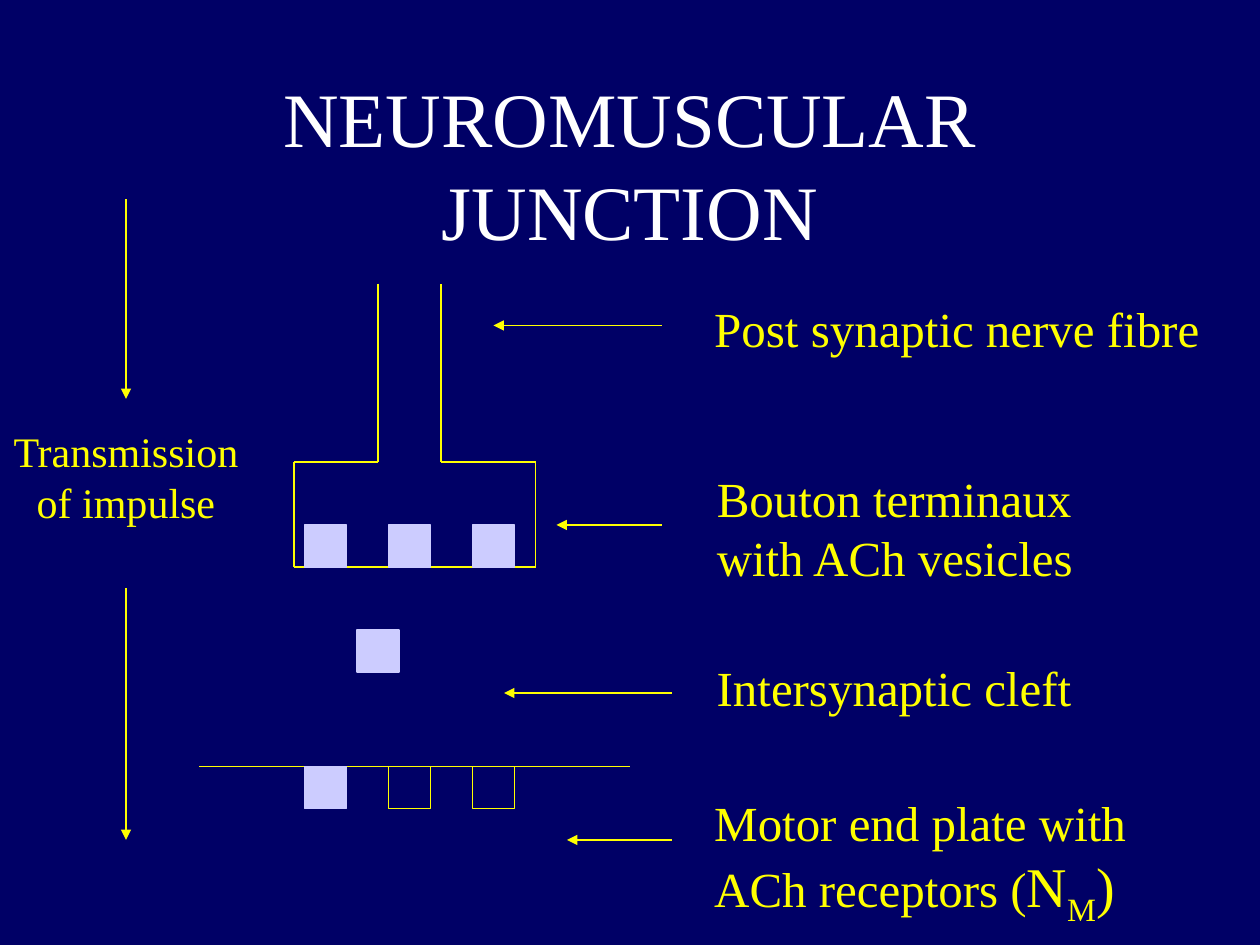
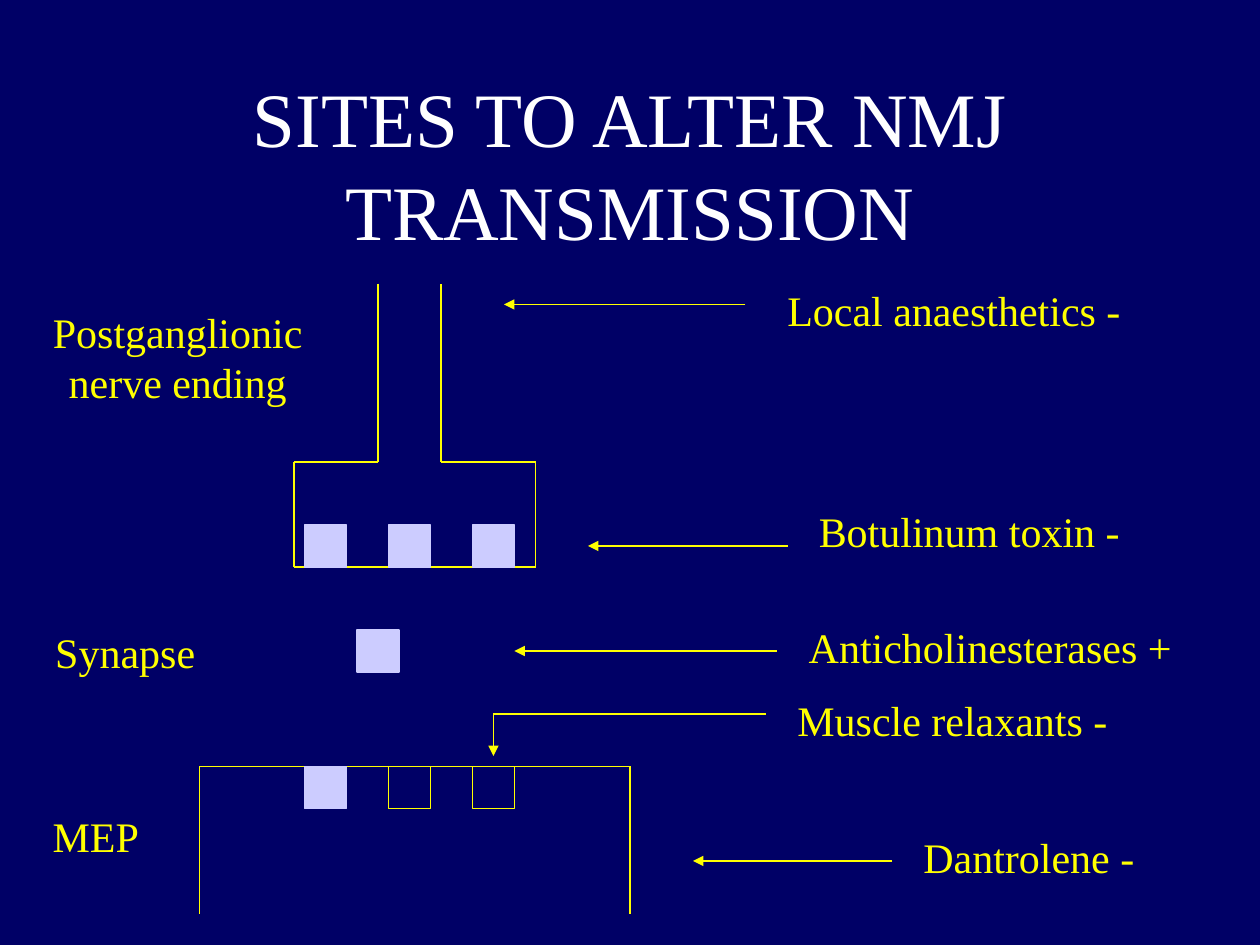
import pptx
import pptx.util
import pptx.dml.color
import pptx.enum.shapes
import pptx.enum.text
import pptx.oxml

Inches, Pt = pptx.util.Inches, pptx.util.Pt
RGB = pptx.dml.color.RGBColor.from_string
new_element = pptx.oxml.xmlchemy.OxmlElement
LEFT, CENTER = pptx.enum.text.PP_ALIGN.LEFT, pptx.enum.text.PP_ALIGN.CENTER
TOP, MIDDLE = pptx.enum.text.MSO_ANCHOR.TOP, pptx.enum.text.MSO_ANCHOR.MIDDLE

COLORS = {"navy": "000066", "yellow": "FFFF00", "lilac": "CCCCFF", "white": "FFFFFF"}
FONT = "Times New Roman"
LINE_WIDTH = 0.75
GRID = 12  # the drawing sits on a grid of twelfths of an inch
SQUARE = 4 / GRID

# Text styles: frame settings, alignment and font
LABEL = {"frame": {"word_wrap": True, "vertical_anchor": TOP},
         "align": LEFT, "size": 24, "color": "yellow"}
CENTERED = {**LABEL, "align": CENTER}
LARGE = {**LABEL, "size": 28}
TITLE = {"frame": {"word_wrap": True, "vertical_anchor": MIDDLE},
         "align": CENTER, "size": 44, "color": "white"}


def add_line(s, ends, arrow=False):
    x1, y1, x2, y2 = [Inches(round(v * GRID) / GRID) for v in ends]
    line = s.shapes.add_connector(pptx.enum.shapes.MSO_CONNECTOR.STRAIGHT, x1, y1, x2, y2)
    line.line.color.rgb = RGB(COLORS["yellow"])
    line.line.width = Pt(LINE_WIDTH)
    if arrow:
        tail = new_element("a:tailEnd")
        tail.set("type", "triangle")
        line.line._get_or_add_ln().append(tail)
    line._element.spPr.append(new_element("a:effectLst"))


def add_text(s, box, paragraphs, style):
    """A paragraph is a string or a list of (text, size, baseline) runs."""
    tf = s.shapes.add_textbox(*map(Inches, box)).text_frame
    for name, value in style["frame"].items():
        setattr(tf, name, value)
    for i, runs in enumerate(paragraphs):
        p = tf.add_paragraph() if i else tf.paragraphs[0]
        p.alignment = style["align"]
        if isinstance(runs, str):
            runs = [(runs, style["size"], 0)]
        for text, size, baseline in runs:
            r = p.add_run()
            r.text = text
            for name, value in {"name": FONT, "size": Pt(size)}.items():
                setattr(r.font, name, value)
            r.font.color.rgb = RGB(COLORS[style["color"]])
            if baseline:
                r._r.get_or_add_rPr().set("baseline", str(baseline * 1000))


# What differs between the slides: title, extra lines, arrows and labels
slides = [
    {
        "title": "NEUROMUSCULAR JUNCTION",
        "lines": [],
        "arrows": [(5.25, 2.58, 3.92, 2.58), (5.25, 4.17, 4.42, 4.17),
                   (5.33, 5.5, 4, 5.5), (5.33, 6.67, 4.5, 6.67),
                   (1, 1.58, 1, 3.17), (1, 4.67, 1, 6.67)],
        "labels": [
            ((5.57, 2.32, 4.15, 0.57), ["Post synaptic nerve fibre"], LARGE),
            ((5.59, 3.67, 3.15, 1.04), ["Bouton terminaux", "with ACh vesicles"], LARGE),
            ((5.59, 5.17, 3.1, 0.57), ["Intersynaptic cleft"], LARGE),
            ((5.57, 6.24, 3.65, 1.18),
             ["Motor end plate with",
              [("ACh receptors (", 28, 0), ("N", 32, 0), ("M", 32, -25), (")", 32, 0)]], LARGE),
            ((-0.05, 3.33, 2.1, 0.9), ["Transmission", "of impulse"], CENTERED),
        ],
    },
    {
        "title": "SITES TO ALTER NMJ TRANSMISSION",
        "lines": [(1.58, 6.08, 1.58, 7.25), (5, 6.08, 5, 7.25), (3.92, 5.67, 6.08, 5.67)],
        "arrows": [(5.92, 2.42, 4, 2.42), (7.08, 6.83, 5.5, 6.83), (6.25, 4.33, 4.67, 4.33),
                   (6.17, 5.17, 4.08, 5.17), (3.92, 5.67, 3.92, 6)],
        "labels": [
            ((0.27, 2.38, 2.28, 0.9), ["Postganglionic", "nerve ending"], CENTERED),
            ((0.34, 4.92, 1.4, 0.5), ["Synapse"], LABEL),
            ((0.32, 6.38, 1, 0.5), ["MEP"], LABEL),
            ((6.15, 2.21, 2.95, 0.5), ["Local anaesthetics -"], LABEL),
            ((6.4, 3.96, 2.7, 0.5), ["Botulinum toxin -"], LABEL),
            ((6.32, 4.88, 3.2, 0.5), ["Anticholinesterases +"], LABEL),
            ((6.23, 5.46, 2.75, 0.5), ["Muscle relaxants -"], LABEL),
            ((7.23, 6.55, 2, 0.5), ["Dantrolene -"], LABEL),
        ],
    },
]

# The junction drawn on both slides: nerve ending, then end plate
nerve_ending = [(3, 2.25), (3, 3.67), (2.33, 3.67), (2.33, 4.5),
                (4.25, 4.5), (4.25, 3.67), (3.5, 3.67), (3.5, 2.25)]
end_plate = (1.58, 6.08, 5, 6.08)
columns = [2.42 + i * 2 * SQUARE for i in range(3)]
vesicles = [(x, 4.17, "lilac", "lilac") for x in columns]
released = [(2.83, 5, "lilac", "lilac")]
receptors = [(columns[0], 6.08, "lilac", "lilac")]
receptors += [(x, 6.08, "navy", "yellow") for x in columns[1:]]

prs = pptx.Presentation()
prs.slide_width, prs.slide_height = Inches(10), Inches(7.5)

for content in slides:
    s = prs.slides.add_slide(prs.slide_layouts[6])
    s.background.fill.solid()
    s.background.fill.fore_color.rgb = RGB(COLORS["navy"])
    add_text(s, (0.75, 0.67, 8.5, 1.25), [content["title"]], TITLE)

    # Junction
    for start, end in zip(nerve_ending, nerve_ending[1:]):
        add_line(s, start + end)
    add_line(s, end_plate)
    for x, y, fill, outline in vesicles + released + receptors:
        left, top = [Inches(round(v * GRID) / GRID) for v in (x, y)]
        sp = s.shapes.add_shape(pptx.enum.shapes.MSO_SHAPE.RECTANGLE,
                                left, top, Inches(SQUARE), Inches(SQUARE))
        sp.shadow.inherit = False
        sp.fill.solid()
        sp.fill.fore_color.rgb = RGB(COLORS[fill])
        sp.line.color.rgb = RGB(COLORS[outline])
        sp.line.width = Pt(LINE_WIDTH)

    # Extra lines, arrows and labels
    for ends in content["lines"]:
        add_line(s, ends)
    for ends in content["arrows"]:
        add_line(s, ends, arrow=True)
    for box, paragraphs, style in content["labels"]:
        add_text(s, box, paragraphs, style)

prs.save("out.pptx")
